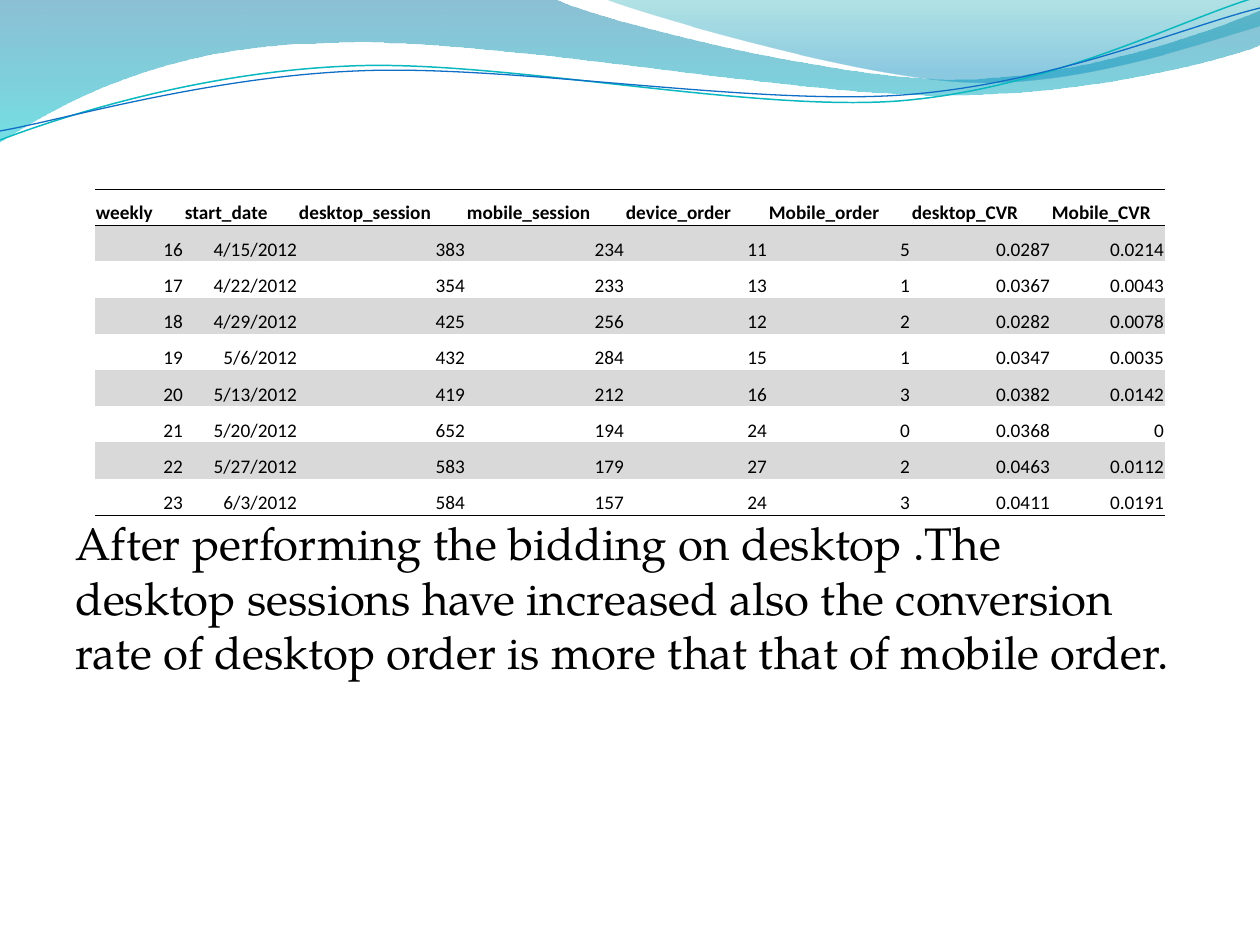
from lxml import etree
from pptx import Presentation
from pptx.dml.color import RGBColor
from pptx.enum.text import MSO_ANCHOR, PP_ALIGN
from pptx.oxml.ns import qn
from pptx.util import Emu, Pt

PX = 914400 // 126
BOTTOM, RIGHT, LEFT = MSO_ANCHOR.BOTTOM, PP_ALIGN.RIGHT, PP_ALIGN.LEFT
PLAIN_TABLE_STYLE = "{2D5ABB26-0587-4C30-8999-92F81FD0307C}"

COLORS = {
    "ink": "000000", "band": "D9D9D9",
    "deep_blue": "0074A1", "aqua": "00C6CF",
    "teal": "00A1A9", "sky": "008BBF",
    "teal_line": "0AB8BF", "blue_line": "0F6FC6",
}

# Each wave: start point, then cubic segments (three points) or straight ones (one point).
WIDE_WAVE = [
    [(0, 0)], [(554, -1)],
    [(600, 21), (837, 79), (955, 79)], [(1075, 79), (1207, 33), (1260, 11)],
    [(1261, 45)],
    [(1239, 55), (1096, 96), (940, 95)], [(784, 95), (481, 35), (324, 43)],
    [(163, 45), (58, 105), (-1, 142)],
]
RIGHT_WAVE = [
    [(604, -1)],
    [(641, 14), (859, 78), (969, 82)], [(1079, 87), (1211, 40), (1260, 26)],
    [(1260, 0)],
]
TEAL_CURVE = [
    [(0, 140)],
    [(60, 117), (199, 72), (349, 66)], [(498, 59), (747, 112), (898, 101)],
    [(1050, 89), (1182, 19), (1257, -3)],
]
BLUE_CURVE = [
    [(0, 131)],
    [(59, 121), (207, 77), (357, 71)], [(508, 64), (752, 106), (903, 95)],
    [(1053, 84), (1186, 26), (1260, 8)],
]

COLUMN_WIDTHS = [89, 114, 168, 159, 143, 143, 140, 114]
WEEKLY_ROWS = [
    ["weekly", "start_date", "desktop_session", "mobile_session",
     "device_order", "Mobile_order", "desktop_CVR", "Mobile_CVR"],
    ["16", "4/15/2012", "383", "234", "11", "5", "0.0287", "0.0214"],
    ["17", "4/22/2012", "354", "233", "13", "1", "0.0367", "0.0043"],
    ["18", "4/29/2012", "425", "256", "12", "2", "0.0282", "0.0078"],
    ["19", "5/6/2012", "432", "284", "15", "1", "0.0347", "0.0035"],
    ["20", "5/13/2012", "419", "212", "16", "3", "0.0382", "0.0142"],
    ["21", "5/20/2012", "652", "194", "24", "0", "0.0368", "0"],
    ["22", "5/27/2012", "583", "179", "27", "2", "0.0463", "0.0112"],
    ["23", "6/3/2012", "584", "157", "24", "3", "0.0411", "0.0191"],
]
CONCLUSION = ("After performing the bidding on desktop .The desktop sessions have "
              "increased also the conversion rate of desktop order is more that "
              "that of mobile order.")


def px(length):
    """Turn pixels into EMU."""
    return Emu(round(length * PX))


def rgb(name):
    """Look up a named colour."""
    return RGBColor.from_string(COLORS[name])


def apply_format(target, values):
    """Set each attribute of target from a dict."""
    for attribute, value in values.items():
        setattr(target, attribute, value)


def bend(outline, segments):
    """Turn each run of three line segments that stands for a cubic into one curve."""
    lines = iter(outline._element.spPr.findall(".//" + qn("a:lnTo")))
    for segment in segments[1:]:
        corners = [next(lines) for _ in segment]
        if len(corners) == 1:
            continue
        curve = etree.Element(qn("a:cubicBezTo"))
        corners[0].addprevious(curve)
        for corner in corners:
            curve.append(corner[0])
            corner.getparent().remove(corner)


def add_outline(slide, segments, close):
    """Draw a smooth outline without shadow."""
    start, *rest = [point for segment in segments for point in segment]
    builder = slide.shapes.build_freeform(*start, scale=float(PX))
    builder.add_line_segments(rest, close=close)
    outline = builder.convert_to_shape()
    bend(outline, segments)
    outline.shadow.inherit = False
    return outline


def add_wave(slide, segments, stops):
    """Draw a wave with a see-through gradient running downwards."""
    wave = add_outline(slide, segments, True)
    wave.line.fill.background()
    wave.fill.gradient()
    wave.fill.gradient_angle = 270
    for stop, (position, color, _) in zip(wave.fill.gradient_stops, stops):
        stop.position = position
        stop.color.rgb = rgb(color)
    tints = wave._element.spPr.findall(".//" + qn("a:srgbClr"))
    for tint, (_, _, opacity) in zip(tints, stops):
        etree.SubElement(tint, qn("a:alpha"), val=str(opacity * 1000))


def add_curve(slide, segments, color, width):
    """Draw an open curved line."""
    curve = add_outline(slide, segments, False)
    curve.fill.background()
    curve.line.color.rgb = rgb(color)
    curve.line.width = Pt(width)


def add_rule(cell, side):
    """Draw a thin rule on one side of a table cell."""
    rule = etree.SubElement(cell._tc.get_or_add_tcPr(), qn("a:" + side), w=str(Pt(0.5)))
    fill = etree.SubElement(rule, qn("a:solidFill"))
    etree.SubElement(fill, qn("a:srgbClr"), val=COLORS["ink"])


def write(paragraph, text, font):
    """Write one run of black text."""
    run = paragraph.add_run()
    run.text = text
    apply_format(run.font, font)
    run.font.color.rgb = rgb("ink")


def fill_cell(cell, text, row):
    """Write and format one cell according to its row."""
    header = row == 0
    apply_format(cell, {"vertical_anchor": BOTTOM, "margin_left": px(1), "margin_right": px(1),
                        "margin_top": px(1), "margin_bottom": 0})
    paragraph = cell.text_frame.paragraphs[0]
    paragraph.alignment = LEFT if header else RIGHT
    write(paragraph, text, {"name": "Calibri", "size": Pt(11), "bold": header})
    if header:
        add_rule(cell, "lnT")
    if header or row == len(WEEKLY_ROWS) - 1:
        add_rule(cell, "lnB")
    if row % 2:
        cell.fill.solid()
        cell.fill.fore_color.rgb = rgb("band")
    else:
        cell.fill.background()


def add_weekly_table(slide, left, top, height):
    """Add the table of weekly sessions and orders."""
    frame = slide.shapes.add_table(len(WEEKLY_ROWS), len(COLUMN_WIDTHS), px(left), px(top),
                                   px(sum(COLUMN_WIDTHS)), px(height))
    table = frame.table
    apply_format(table, {"first_row": False, "horz_banding": False})
    table._tbl.tblPr.find(qn("a:tableStyleId")).text = PLAIN_TABLE_STYLE
    for column, width in zip(table.columns, COLUMN_WIDTHS):
        column.width = px(width)
    for index, values in enumerate(WEEKLY_ROWS):
        table.rows[index].height = px(height / len(WEEKLY_ROWS))
        for cell, text in zip(table.rows[index].cells, values):
            fill_cell(cell, text, index)


def add_conclusion(slide, left, top, width, height, text_offset):
    """Add the body text, which starts below the table."""
    body = slide.shapes.add_textbox(px(left), px(top), px(width), px(height)).text_frame
    apply_format(body, {"word_wrap": True, "margin_top": px(text_offset)})
    write(body.paragraphs[0], CONCLUSION, {"name": "TeX Gyre Pagella", "size": Pt(26)})


def main():
    """Build and save the slide."""
    deck = Presentation()
    apply_format(deck, {"slide_width": px(1260), "slide_height": px(945)})
    slide = deck.slides.add_slide(deck.slide_layouts[6])
    add_wave(slide, WIDE_WAVE, [(0, "deep_blue", 45), (1, "aqua", 55)])
    add_wave(slide, RIGHT_WAVE, [(0, "teal", 30), (0.8, "sky", 45)])
    add_curve(slide, TEAL_CURVE, "teal_line", 0.85)
    add_curve(slide, BLUE_CURVE, "blue_line", 0.75)
    add_conclusion(slide, 63, 63, 1124, 781, 452)
    add_weekly_table(slide, 95, 189, 326)
    deck.save("out.pptx")


main()
